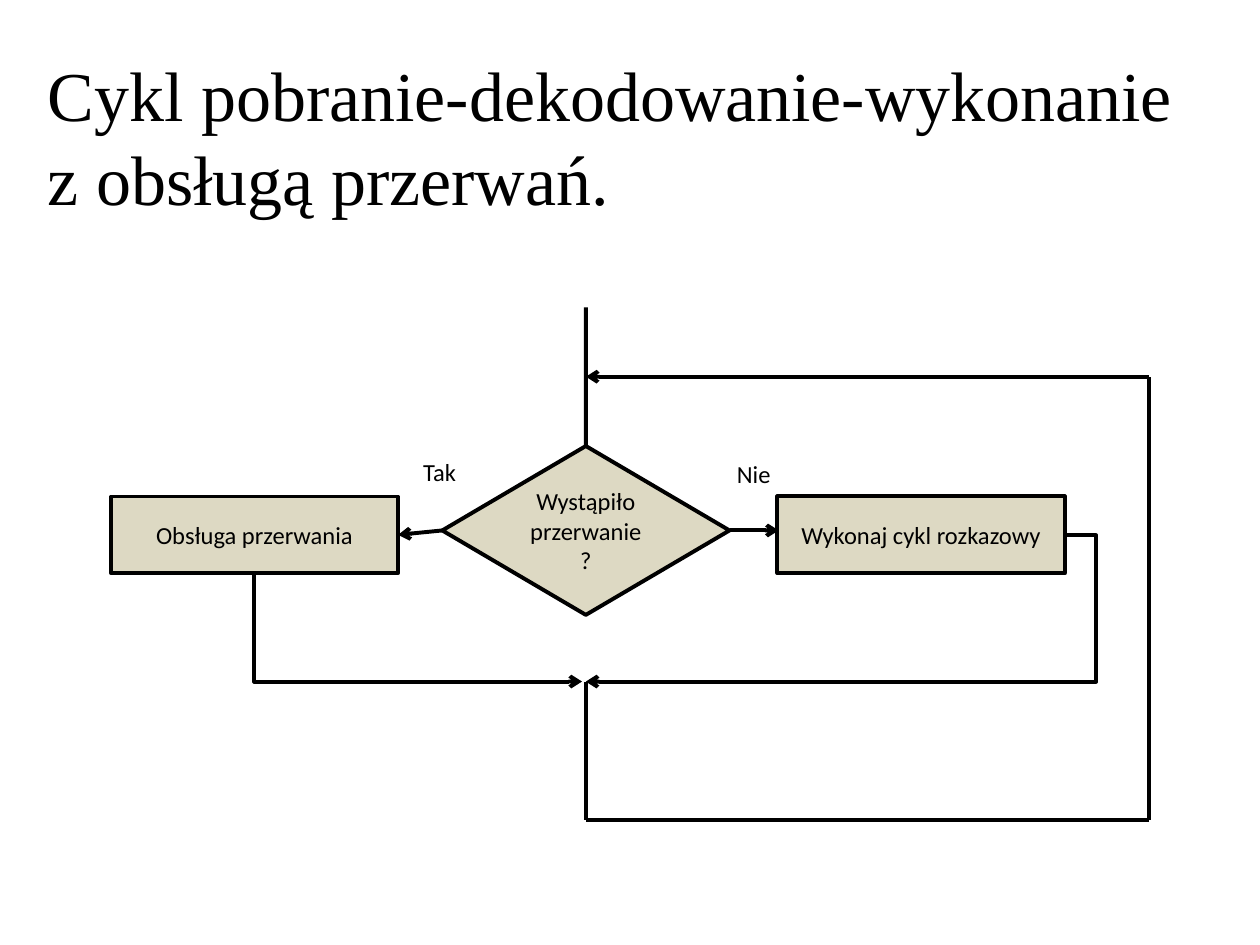
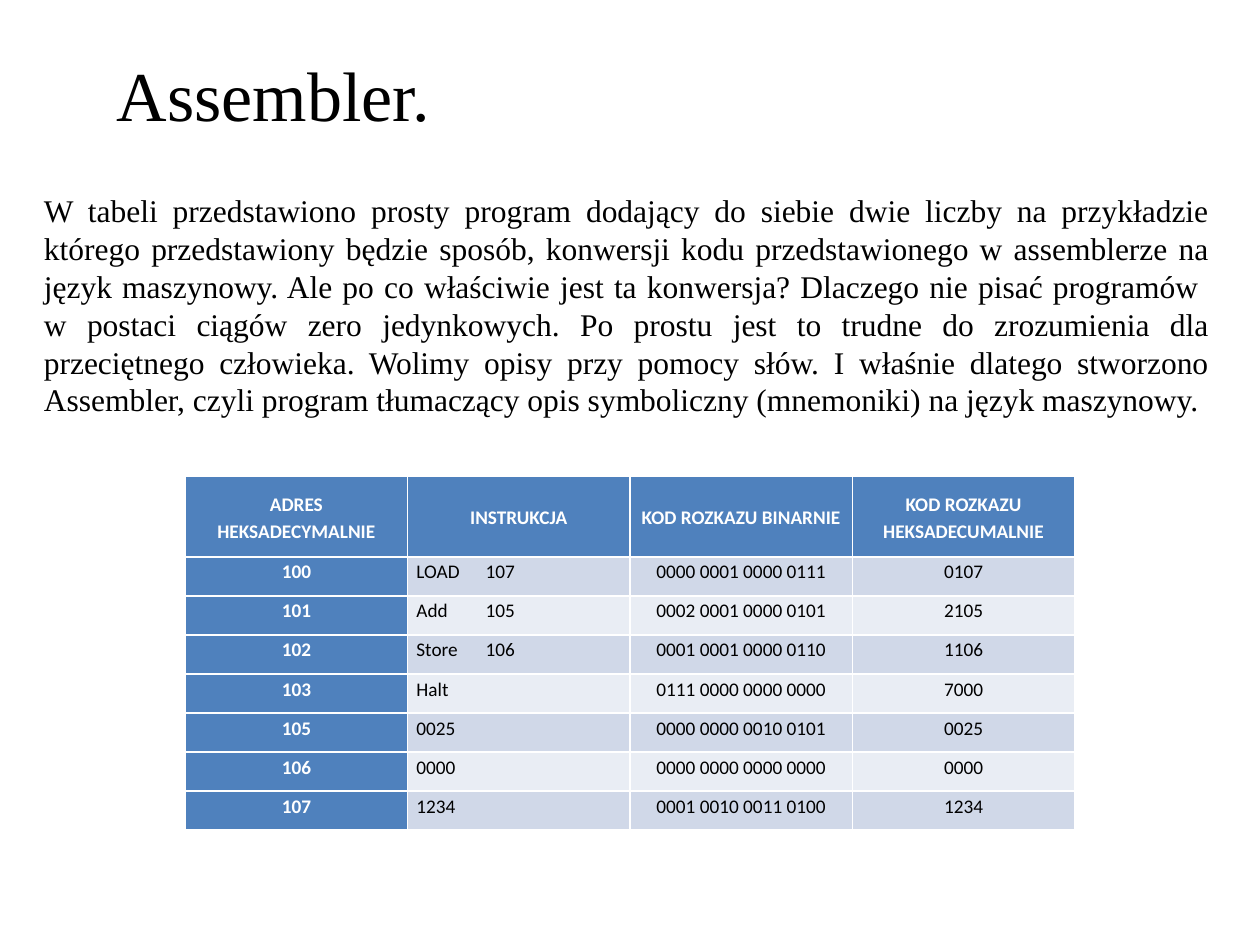
"""Builds two slides: a flowchart of the interrupt cycle and a table of assembler code."""
from lxml import etree
from pptx import Presentation
from pptx import util as u
from pptx.dml.color import RGBColor
from pptx.enum import shapes, text
from pptx.oxml import ns

BLACK = RGBColor(0x00, 0x00, 0x00)
WHITE = RGBColor(0xFF, 0xFF, 0xFF)
SAND = RGBColor(0xDD, 0xD9, 0xC3)
BLUE = RGBColor(0x4F, 0x81, 0xBD)
BANDS = [RGBColor(0xD0, 0xD8, 0xE8), RGBColor(0xE9, 0xED, 0xF4)]
SERIF, SANS = "Times New Roman", "Calibri"
LEFT, MID, JUST = text.PP_ALIGN.LEFT, text.PP_ALIGN.CENTER, text.PP_ALIGN.JUSTIFY

TITLES = [
    ("Cykl pobranie-dekodowanie-wykonanie z obsługą przerwań.", (0.28, 0.36, 9.45, 1.45)),
    ("Assembler.", (0.83, 0.36, 8.03, 0.77)),
]
RECT = shapes.MSO_SHAPE.RECTANGLE
NODES = {
    "ask": (shapes.MSO_SHAPE.FLOWCHART_DECISION, "Wystąpiło przerwanie?", (3.51, 3.54, 2.28, 1.34), 2.25),
    "serve": (RECT, "Obsługa przerwania", (0.88, 3.94, 2.28, 0.61), 2),
    "run": (RECT, "Wykonaj cykl rozkazowy", (6.17, 3.94, 2.28, 0.61), 2.25),
}
LABELS = [("Tak", (3.26, 3.58, 0.47, 0.34)), ("Nie", (5.75, 3.59, 0.47, 0.34))]
AXIS, EDGE, BACK, JOIN, BASE = 4.65, 9.12, 2.99, 5.41, 6.51
LOOP = [
    ((AXIS, JOIN), (AXIS, BASE), False),
    ((AXIS, BASE), (EDGE, BASE), False),
    ((EDGE, BASE), (EDGE, BACK), False),
    ((EDGE, BACK), (AXIS, BACK), True),
]
INTRO = (
    "W tabeli przedstawiono prosty program dodający do siebie dwie liczby na przykładzie "
    "którego przedstawiony będzie sposób, konwersji kodu przedstawionego w assemblerze na "
    "język maszynowy. Ale po co właściwie jest ta konwersja? Dlaczego nie pisać programów \n"
    "w postaci ciągów zero jedynkowych. Po prostu jest to trudne do zrozumienia dla "
    "przeciętnego człowieka. Wolimy opisy przy pomocy słów. I właśnie dlatego stworzono "
    "Assembler, czyli program tłumaczący opis symboliczny (mnemoniki) na język maszynowy."
)
CODE = [
    ("ADRES HEKSADECYMALNIE", "INSTRUKCJA", "KOD ROZKAZU BINARNIE", "KOD ROZKAZU HEKSADECUMALNIE"),
    ("100", "LOAD\t107", "0000 0001 0000 0111", "0107"),
    ("101", "Add\t105", "0002 0001 0000 0101", "2105"),
    ("102", "Store\t106", "0001 0001 0000 0110", "1106"),
    ("103", "Halt", "0111 0000 0000 0000", "7000"),
    ("105", "0025", "0000 0000 0010 0101", "0025"),
    ("106", "0000", "0000 0000 0000 0000", "0000"),
    ("107", "1234", "0001 0010 0011 0100", "1234"),
]
HEAD, ROW, TAB = 0.64, 0.31, 0.55


def inch(vals):
    return [u.Inches(val) for val in vals]


def write(frame, words, font, size, color=BLACK, align=LEFT, bold=False):
    para = frame.paragraphs[0]
    para.text = words
    para.alignment = align
    for run in para.runs:
        run.font.name, run.font.size, run.font.bold = font, u.Pt(size), bold
        run.font.color.rgb = color
    return para


def add_text(slide, words, box, font, size, align=LEFT, wrap=True):
    frame = slide.shapes.add_textbox(*inch(box)).text_frame
    frame.word_wrap = wrap
    frame.auto_size = text.MSO_AUTO_SIZE.SHAPE_TO_FIT_TEXT
    write(frame, words, font, size, align=align)


def add_node(slide, kind, words, box, width):
    node = slide.shapes.add_shape(kind, *inch(box))
    node.shadow.inherit = False
    node.fill.solid()
    node.fill.fore_color.rgb = SAND
    node.line.color.rgb = BLACK
    node.line.width = u.Pt(width)
    node.text_frame.word_wrap = True
    node.text_frame.vertical_anchor = text.MSO_ANCHOR.MIDDLE
    write(node.text_frame, words, SANS, 14, align=MID)
    return node


def add_line(slide, start, stop, tip=None, kind=shapes.MSO_CONNECTOR.STRAIGHT):
    line = slide.shapes.add_connector(kind, *inch(start + stop))
    line.line.color.rgb = BLACK
    line.line.width = u.Pt(2.25)
    if tip:
        etree.SubElement(line.line._get_or_add_ln(), ns.qn("a:" + tip), type="arrow")
    etree.SubElement(line._element.spPr, ns.qn("a:effectLst"))
    return line


def add_bend(slide, start, stop, tip, preset, adj=None):
    line = add_line(slide, start, stop, tip, shapes.MSO_CONNECTOR.ELBOW)
    geom = line._element.spPr.find(ns.qn("a:prstGeom"))
    geom.set("prst", preset)
    if adj is not None:
        guides = geom.find(ns.qn("a:avLst"))
        etree.SubElement(guides, ns.qn("a:gd"), name="adj1", fmla=f"val {round(adj * 100000)}")


def draw_flow(slide):
    node = {name: add_node(slide, *data) for name, data in NODES.items()}
    for words, box in LABELS:
        add_text(slide, words, box, SANS, 14, wrap=False)
    add_bend(slide, (8.45, 4.25), (AXIS, JOIN), "tailEnd", "bentConnector3", -0.066)
    add_bend(slide, (4.62, JOIN), (2.02, 4.55), "headEnd", "bentConnector2")
    no = add_line(slide, (5.79, 4.21), (6.18, 4.21), "tailEnd")
    no.begin_connect(node["ask"], 3)
    yes = add_line(slide, (3.51, 4.21), (3.16, 4.25), "tailEnd")
    yes.begin_connect(node["ask"], 1)
    yes.end_connect(node["serve"], 3)
    entry = add_line(slide, (AXIS, 2.44), (AXIS, 3.54))
    entry.end_connect(node["ask"], 0)
    for start, stop, tip in LOOP:
        add_line(slide, start, stop, "tailEnd" if tip else None)


def draw_code(slide):
    add_text(slide, INTRO, (0.25, 1.47, 9.45, 1.92), SERIF, 18, JUST)
    high = HEAD + ROW * (len(CODE) - 1)
    grid = slide.shapes.add_table(len(CODE), len(CODE[0]), *inch((1.47, 3.78, 7.06, high))).table
    grid.first_col = True
    for r, row in enumerate(CODE):
        grid.rows[r].height = u.Inches(ROW if r else HEAD)
        for c, words in enumerate(row):
            cell = grid.cell(r, c)
            key = r == 0 or c == 0
            cell.fill.solid()
            cell.fill.fore_color.rgb = BLUE if key else BANDS[(r - 1) % 2]
            cell.margin_left = cell.margin_right = u.Inches(0.07)
            cell.margin_top = cell.margin_bottom = 0
            cell.vertical_anchor = text.MSO_ANCHOR.TOP if r else text.MSO_ANCHOR.MIDDLE
            align = LEFT if r and c == 1 else MID
            para = write(cell.text_frame, words, SANS, 11, WHITE if key else BLACK, align, key)
            para.line_spacing = 1.15
            if "\t" in words:
                tabs = etree.SubElement(para._p.get_or_add_pPr(), ns.qn("a:tabLst"))
                etree.SubElement(tabs, ns.qn("a:tab"), pos=str(u.Inches(TAB)), algn="l")


def main():
    deck = Presentation()
    deck.slide_width, deck.slide_height = inch((10, 7.5))
    for (title, box), draw in zip(TITLES, (draw_flow, draw_code)):
        slide = deck.slides.add_slide(deck.slide_layouts[6])
        add_text(slide, title, box, SERIF, 40)
        draw(slide)
    deck.save("out.pptx")


if __name__ == "__main__":
    main()
